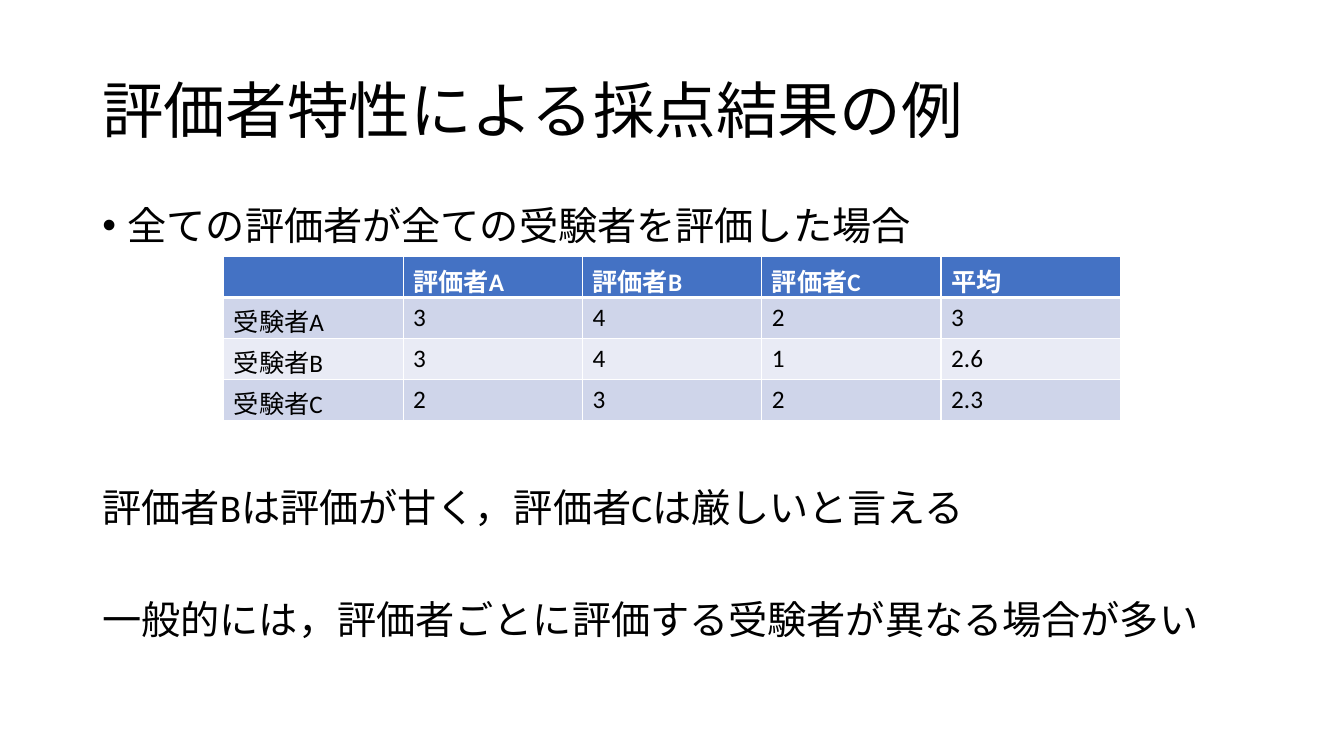
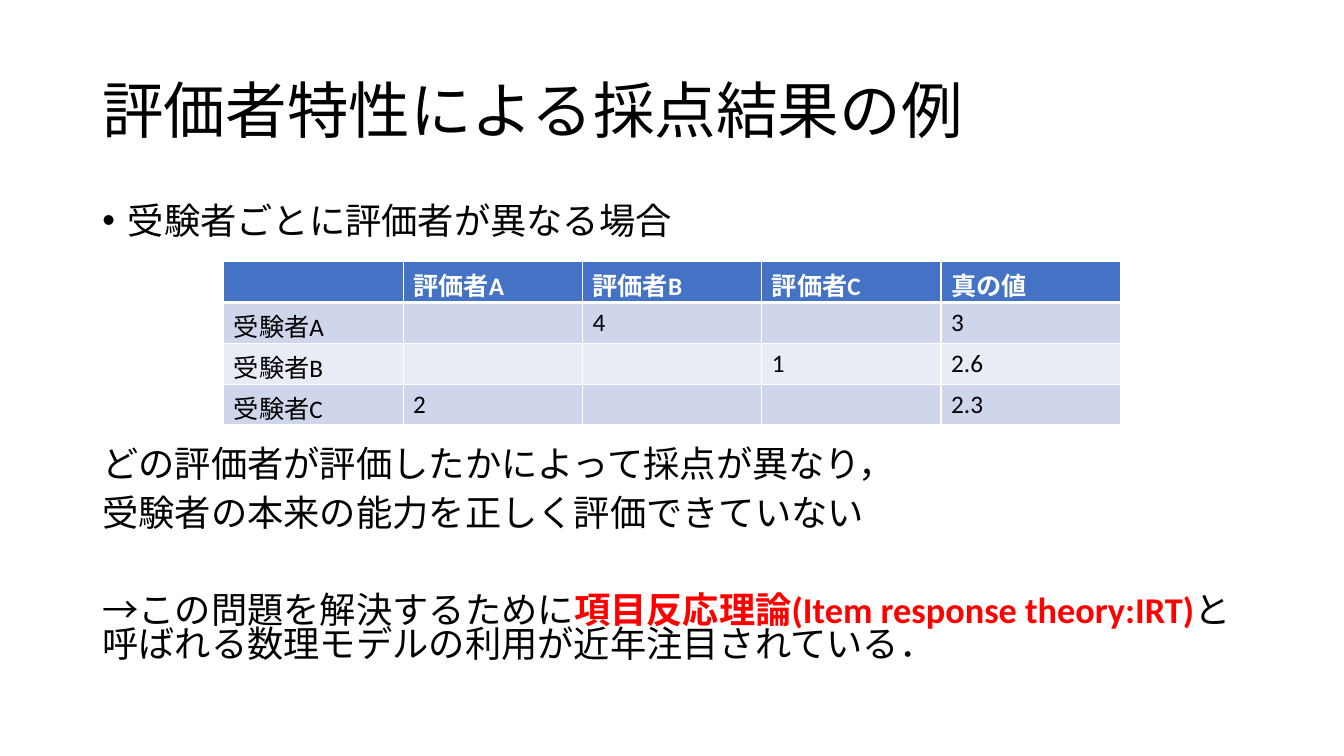
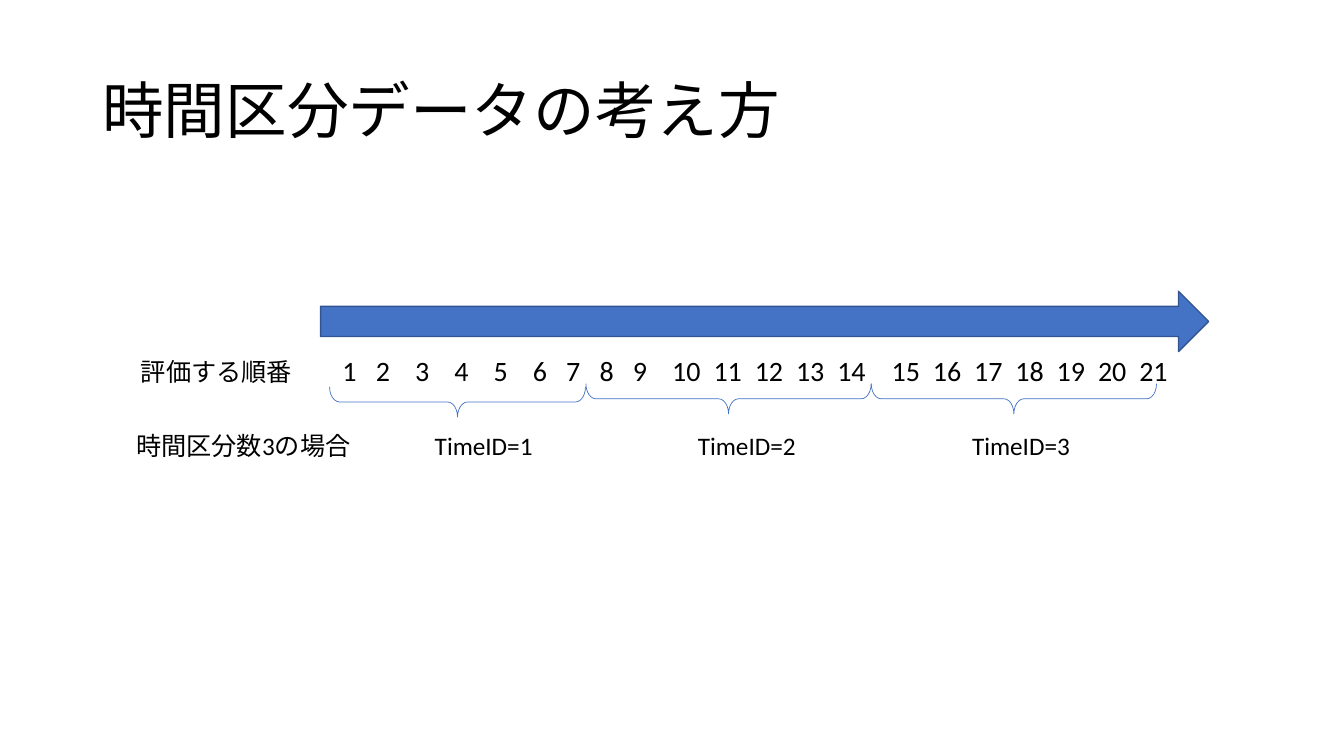
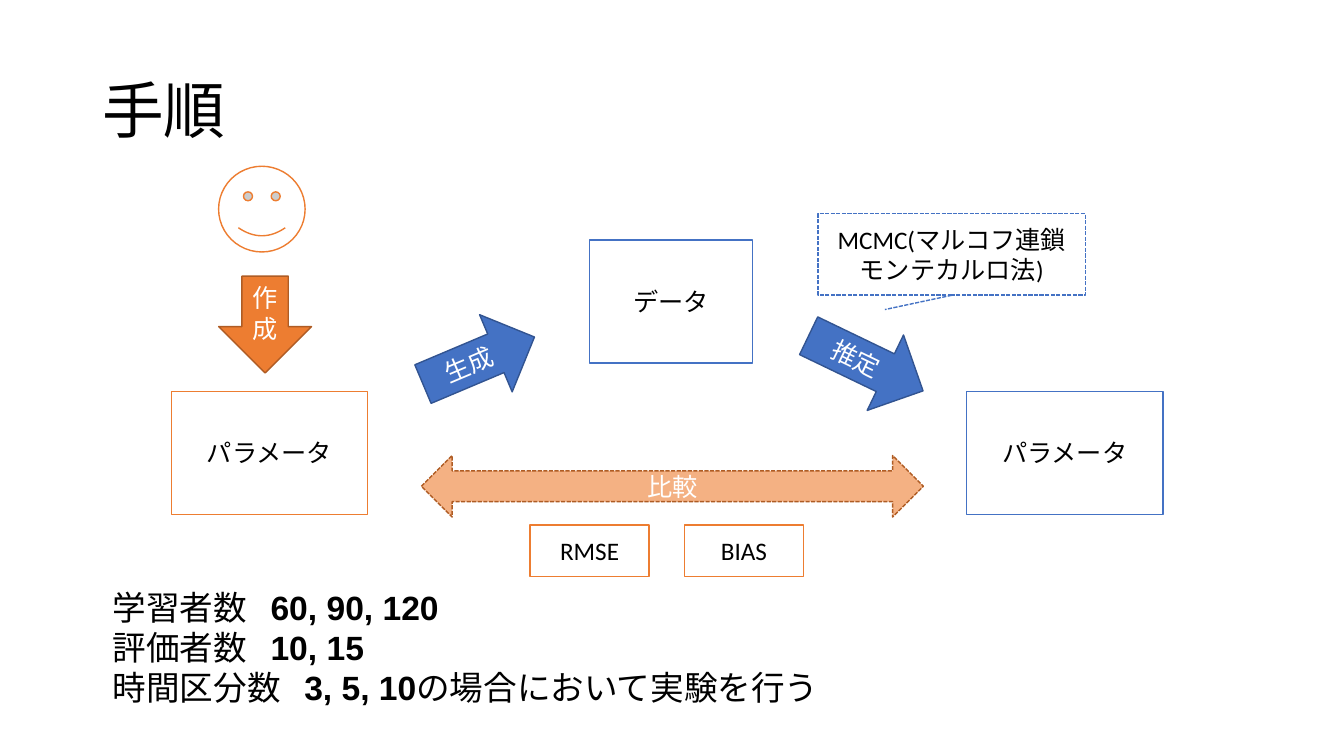
import itertools

import pptx
import pptx.dml.color
import pptx.enum.dml
import pptx.enum.lang
import pptx.enum.shapes
import pptx.enum.text
import pptx.oxml
import pptx.oxml.ns
import pptx.util

Cm = pptx.util.Cm
Pt = pptx.util.Pt
SHAPE = pptx.enum.shapes.MSO_SHAPE
MIDDLE = pptx.enum.text.MSO_ANCHOR.MIDDLE

COLORS = {
    "text": "000000", "white": "FFFFFF", "alert": "FF0000",
    "blue": "4472C4", "blue edge": "325491",
    "orange": "ED7D31", "orange edge": "AF5C24", "pale orange": "F4B183",
    "odd row": "CFD5EA", "even row": "E9EBF5",
}
BODY_AREA = (2.33, 5.08, 29.21, 12.09)


def color(name):
    return pptx.dml.color.RGBColor.from_string(COLORS[name])


def add_xml(parent, tag, **attributes):
    element = pptx.oxml.parse_xml(f"<a:{tag} {pptx.oxml.ns.nsdecls('a')}/>")
    for key, value in attributes.items():
        element.set(key, str(value))
    parent.append(element)
    return element


class Deck:
    """Shared style, and the slide being filled."""

    def __init__(self):
        self.presentation = pptx.Presentation()
        self.presentation.slide_width = Cm(33.87)
        self.presentation.slide_height = Cm(19.05)
        self.slide = None

    def new_slide(self, title):
        layout = self.presentation.slide_layouts[6]
        self.slide = self.presentation.slides.add_slide(layout)
        heading = self.text_area((2.33, 1.01, 29.21, 3.68))
        heading.vertical_anchor = MIDDLE
        self.paragraph(heading, title, 44, spacing=0.9)

    def text_area(self, area):
        frame = self.slide.shapes.add_textbox(*map(Cm, area)).text_frame
        frame.word_wrap = True
        return frame

    def style_run(self, run, size, color_name="text", bold=False, font="Calibri"):
        run.font.size = Pt(size)
        run.font.name = font
        run.font.bold = bold
        run.font.color.rgb = color(color_name)
        run.font.language_id = pptx.enum.lang.MSO_LANGUAGE_ID.JAPANESE

    def paragraph(self, frame, content, size, spacing=None, before=0,
                  bullet=False, tabs=(), tab_align="l", font="Calibri"):
        """Content is a string, or a list of (text, run style changes)."""
        if frame.paragraphs[0].runs:
            paragraph = frame.add_paragraph()
        else:
            paragraph = frame.paragraphs[0]
        if spacing:
            paragraph.line_spacing = spacing
        paragraph.space_before = Pt(before)
        if isinstance(content, str):
            content = [(content, {})]
        for text, changes in content:
            run = paragraph.add_run()
            run.text = text
            self.style_run(run, **{"size": size, "font": font, **changes})
        properties = paragraph._p.get_or_add_pPr()
        if bullet:
            properties.set("marL", str(Cm(0.64)))
            properties.set("indent", str(-Cm(0.64)))
            add_xml(properties, "buFont", typeface="Arial")
            add_xml(properties, "buChar", char="•")
        if tabs:
            stops = add_xml(properties, "tabLst")
            for position in tabs:
                add_xml(stops, "tab", pos=Cm(position), algn=tab_align)

    def shape(self, kind, area, fill, edge, label="", label_color="text",
              turn=0, dashed=False, width=1):
        shape = self.slide.shapes.add_shape(kind, *map(Cm, area))
        shape.shadow.inherit = False
        shape.rotation = turn
        if fill:
            shape.fill.solid()
            shape.fill.fore_color.rgb = color(fill)
        else:
            shape.fill.background()
        self.outline(shape.line, edge, width, dashed)
        if label:
            shape.text_frame.text = label
            shape.text_frame.vertical_anchor = MIDDLE
            paragraph = shape.text_frame.paragraphs[0]
            paragraph.alignment = pptx.enum.text.PP_ALIGN.CENTER
            self.style_run(paragraph.runs[0], 18, label_color)
        return shape

    def outline(self, line, edge, width=1, dashed=False):
        line.color.rgb = color(edge)
        line.width = Pt(width)
        if dashed:
            line.dash_style = pptx.enum.dml.MSO_LINE.SQUARE_DOT

    def box(self, area, edge, label, dashed=False):
        return self.shape(SHAPE.RECTANGLE, area, "white", edge, label, dashed=dashed)

    def brace(self, center, middle, length, depth=0.76):
        """Brace opening upwards, made from a right brace turned by 90 degrees."""
        area = (center - depth / 2, middle - length / 2, depth, length)
        brace = self.shape(SHAPE.RIGHT_BRACE, area, None, "blue", turn=90, width=0.5)
        brace.adjustments[0] = 0.33

    def pointer(self, box, end):
        """Dashed line from the bottom of a box."""
        line = self.slide.shapes.add_connector(
            pptx.enum.shapes.MSO_CONNECTOR.STRAIGHT, 0, 0, *map(Cm, end))
        line.begin_connect(box, 2)
        self.outline(line.line, "blue", dashed=True)
        add_xml(line._element.spPr, "effectLst")

    def score_table(self, top, rows):
        columns = len(rows[0])
        table = self.slide.shapes.add_table(
            len(rows), columns, Cm(5.64), Cm(top),
            Cm(4.52 * columns), Cm(1.03 * len(rows))).table
        for r, row in enumerate(rows):
            table.rows[r].height = Cm(1.03)
            fill = "blue" if r == 0 else "odd row" if r % 2 else "even row"
            for c, value in enumerate(row):
                cell = table.cell(r, c)
                cell.text = value
                for run in cell.text_frame.paragraphs[0].runs:
                    self.style_run(run, 18, "text" if r else "white", bold=r == 0)
                self.cell_borders(cell, 1 if r else 3, 3 if r == 1 else 1)
                cell.fill.solid()
                cell.fill.fore_color.rgb = color(fill)

    def cell_borders(self, cell, bottom, top):
        properties = cell._tc.get_or_add_tcPr()
        for side, width in (("L", 1), ("R", 1), ("T", top), ("B", bottom)):
            border = add_xml(properties, "ln" + side, w=Pt(width))
            add_xml(add_xml(border, "solidFill"), "srgbClr", val=COLORS["white"])


def all_raters_slide(deck):
    deck.new_slide("評価者特性による採点結果の例")
    body = deck.text_area(BODY_AREA)
    for text, before in (
            ("全ての評価者が全ての受験者を評価した場合", 10),
            ("評価者Bは評価が甘く，評価者Cは厳しいと言える", 171),
            ("一般的には，評価者ごとに評価する受験者が異なる場合が多い", 50)):
        deck.paragraph(body, text, 28, 0.9, before, bullet=before == 10)
    deck.score_table(6.47, [
        ("", "評価者A", "評価者B", "評価者C", "平均"),
        ("受験者A", "3", "4", "2", "3"),
        ("受験者B", "3", "4", "1", "2.6"),
        ("受験者C", "2", "3", "2", "2.3"),
    ])


def split_raters_slide(deck):
    deck.new_slide("評価者特性による採点結果の例")
    body = deck.text_area(BODY_AREA)
    solution = [
        ("→この問題を解決するために", {}),
        ("項目反応理論(Item response theory:IRT)",
         {"color_name": "alert", "bold": True}),
        ("と呼ばれる数理モデルの利用が近年注目されている．", {}),
    ]
    for content, before, bullet in (
            ("受験者ごとに評価者が異なる場合", 10, True),
            ("どの評価者が評価したかによって採点が異なり，", 149, False),
            ("受験者の本来の能力を正しく評価できていない", 10, False),
            (solution, 44, False)):
        deck.paragraph(body, content, 25.9, 0.8, before, bullet)
    deck.score_table(6.59, [
        ("", "評価者A", "評価者B", "評価者C", "真の値"),
        ("受験者A", "", "4", "", "3"),
        ("受験者B", "", "", "1", "2.6"),
        ("受験者C", "2", "", "", "2.3"),
    ])


def time_slide(deck):
    deck.new_slide("時間区分データの考え方")
    deck.shape(SHAPE.RIGHT_ARROW, (8.08, 7.34, 22.38, 1.52), "blue", "blue edge")

    # Rating order, each number centred on its own tab stop
    gaps = [0.84] + [0.99] * 4 + [0.84] * 3 + [1.17] + [1.04] * 4 + [1.37] + [1.04] * 6
    stops = list(itertools.accumulate(gaps, initial=5.26))
    numbers = "".join(f"\t{n}" for n in range(1, len(stops) + 1))
    order = deck.text_area((3.3, 8.79, 28.7, 1.12))
    deck.paragraph(order, [("評価する順番", {}), (numbers, {"size": 20})], 18,
                   tabs=stops, tab_align="ctr")

    # Time sections
    for brace in ((25.55, 10.05, 7.19), (18.36, 10.05, 7.19), (11.53, 10.13, 6.45)):
        deck.brace(*brace)
    sections = deck.text_area((3.18, 10.72, 27.28, 1.02))
    deck.paragraph(sections, "時間区分数3の場合\tTimeID=1\tTimeID=2\tTimeID=3", 18,
                   tabs=(8.76, 15.39, 22.3), tab_align="ctr")


def procedure_slide(deck):
    deck.new_slide("手順")

    # From true parameters to data to estimates
    deck.box((4.32, 9.86, 4.95, 3.1), "orange", "パラメータ")
    deck.shape(SHAPE.RIGHT_ARROW, (10.54, 8.03, 3.05, 2.11), "blue", "blue edge",
               "生成", "white", turn=337.1)
    deck.box((14.86, 6.05, 4.11, 3.1), "blue", "データ")
    deck.shape(SHAPE.RIGHT_ARROW, (20.22, 8.1, 3.2, 2.11), "blue", "blue edge",
               "推定", "white", turn=25.7)
    deck.box((24.36, 9.86, 4.95, 3.1), "blue", "パラメータ")

    # Comparison and its measures
    deck.shape(SHAPE.LEFT_RIGHT_ARROW, (10.62, 11.48, 12.65, 1.55), "pale orange",
               "orange edge", "比較", "white", dashed=True)
    for left, measure in ((13.36, "RMSE"), (17.25, "BIAS")):
        deck.box((left, 13.23, 3, 1.3), "orange", measure)

    # Author of the parameters
    deck.shape(SHAPE.SMILEY_FACE, (5.51, 4.19, 2.18, 2.16), "white", "orange")
    deck.shape(SHAPE.DOWN_ARROW, (5.51, 6.96, 2.34, 2.44), "orange", "orange edge",
               "作成", "white")

    # Estimation method
    method = deck.box((20.62, 5.38, 6.73, 2.06), "blue",
                      "MCMC(マルコフ連鎖モンテカルロ法)", dashed=True)
    deck.pointer(method, (22.3, 7.8))

    # Conditions
    conditions = deck.text_area((2.59, 14.66, 20.68, 3.33))
    for name, values, ending, stop in (
            ("学習者数", "60, 90, 120", "", 3.98),
            ("評価者数", "10, 15", "", 3.98),
            ("時間区分数", "3, 5, 10", "の場合において実験を行う", 4.83)):
        content = [(name + "\t", {}), (values, {"bold": True})]
        if ending:
            content.append((ending, {}))
        deck.paragraph(conditions, content, 24, tabs=(stop,), font="Arial")


def main():
    deck = Deck()
    for build in (all_raters_slide, split_raters_slide, time_slide, procedure_slide):
        build(deck)
    deck.presentation.save("out.pptx")


if __name__ == "__main__":
    main()
